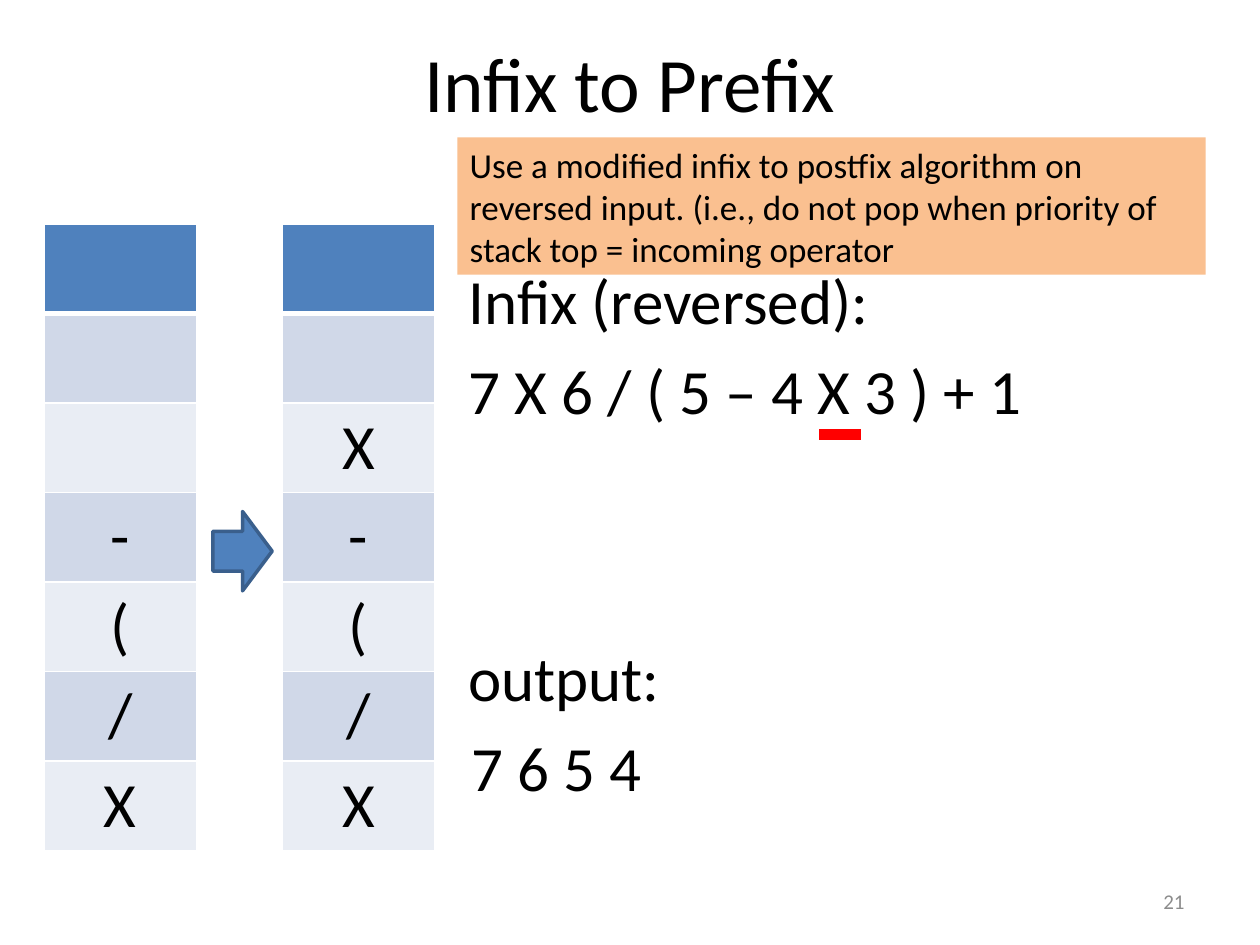
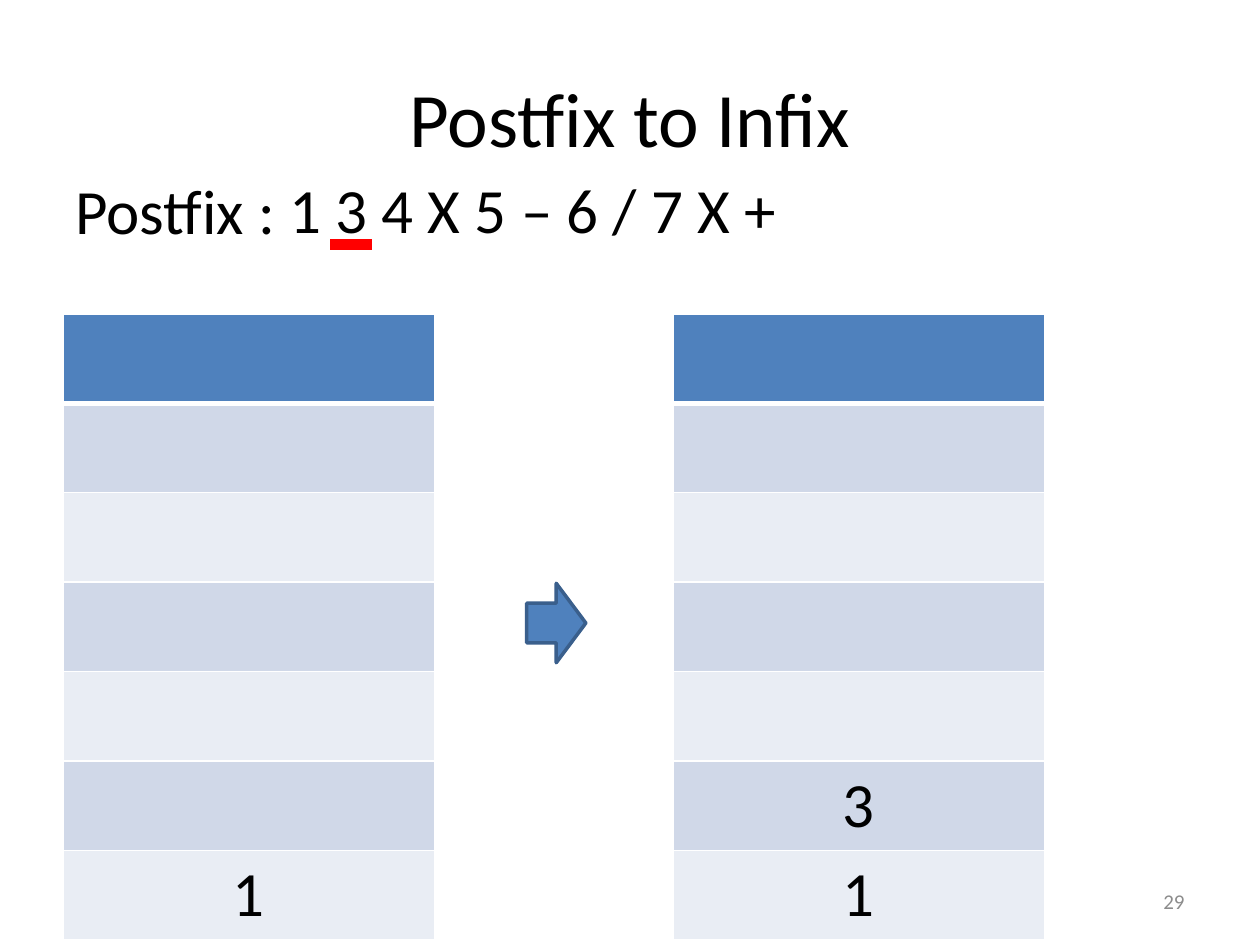
from lxml.etree import SubElement
from pptx import Presentation
from pptx.dml.color import RGBColor
from pptx.enum.shapes import MSO_CONNECTOR, MSO_SHAPE
from pptx.enum.text import MSO_ANCHOR, PP_ALIGN
from pptx.oxml.ns import qn
from pptx.util import Inches, Pt

FONT = "Calibri"
BLACK = RGBColor(0x00, 0x00, 0x00)
GRAY = RGBColor(0x8C, 0x8C, 0x8C)
RED = RGBColor(0xFF, 0x00, 0x00)
BLUE = RGBColor(0x4F, 0x81, 0xBD)
DARK_BLUE = RGBColor(0x3A, 0x5F, 0x8C)
BAND_DARK = RGBColor(0xD0, 0xD8, 0xE8)
BAND_LIGHT = RGBColor(0xE9, 0xED, 0xF4)
ORANGE = RGBColor(0xFA, 0xC0, 0x90)
WHITE = "FFFFFF"

STACK_ROWS = 7
ROW_HEIGHT = 0.71


def write(text_frame, text, size=36, align=PP_ALIGN.LEFT, color=BLACK,
          anchor=MSO_ANCHOR.TOP):
    text_frame.word_wrap = True
    text_frame.vertical_anchor = anchor
    text_frame.text = text
    paragraph = text_frame.paragraphs[0]
    paragraph.alignment = align
    font = paragraph.runs[0].font
    font.name = FONT
    font.size = Pt(size)
    font.color.rgb = color


def add_stack(slide, left, top, width, items):
    """Draw a stack as a one-column table, with the items resting at the bottom."""
    table = slide.shapes.add_table(
        STACK_ROWS, 1, Inches(left), Inches(top),
        Inches(width), Inches(ROW_HEIGHT * STACK_ROWS)).table
    first_item = STACK_ROWS - len(items)
    for row in range(STACK_ROWS):
        table.rows[row].height = Inches(ROW_HEIGHT)
        cell = table.cell(row, 0)
        if row >= first_item:
            write(cell.text_frame, items[row - first_item], align=PP_ALIGN.CENTER)

        # White borders, thicker under the header, placed before the fill
        properties = cell._tc.get_or_add_tcPr()
        thick_side = {0: "lnB", 1: "lnT"}.get(row)
        for side in ("lnL", "lnR", "lnT", "lnB"):
            points = 3 if side == thick_side else 1
            border = SubElement(properties, qn(f"a:{side}"), w=str(Pt(points)))
            border_fill = SubElement(border, qn("a:solidFill"))
            SubElement(border_fill, qn("a:srgbClr"), val=WHITE)
        cell.fill.solid()
        if row == 0:
            cell.fill.fore_color.rgb = BLUE
        else:
            cell.fill.fore_color.rgb = BAND_DARK if row % 2 else BAND_LIGHT


SLIDES = [
    {
        "title": "Infix to Prefix", "title_top": 0.02, "number": "21",
        "texts": [  # left, top, width, text
            (3.62, 2.74, 6.29, "7 X 6 / ( 5 – 4 X 3 ) + 1"),
            (3.62, 2.03, 3.67, "Infix (reversed):"),
            (3.62, 5.02, 3.67, "output:"),
            (3.64, 5.73, 5.3, "7 6 5 4"),
        ],
        "marker": (6.5, 3.45), "arrow": (1.69, 4.06),
        "stack_top": 1.78, "stack_width": 1.21,
        "stacks": [(0.35, "-(/X"), (2.24, "X-(/X")],
        "note": "Use a modified infix to postfix algorithm on reversed input. "
                "(i.e., do not pop when priority of stack top = incoming operator",
    },
    {
        "title": "Postfix to Infix", "title_top": 0.3, "number": "29",
        "texts": [
            (2.2, 1.3, 6.29, "1 3 4 X 5 – 6 / 7 X +"),
            (0.5, 1.31, 3.67, "Postfix :"),
        ],
        "marker": (2.62, 1.94), "arrow": (4.18, 4.63),
        "stack_top": 2.49, "stack_width": 2.95,
        "stacks": [(0.5, "1"), (5.34, "31")],
        "note": None,
    },
]

presentation = Presentation()
presentation.slide_width = Inches(10)
presentation.slide_height = Inches(7.5)

for content in SLIDES:
    slide = presentation.slides.add_slide(presentation.slide_layouts[6])
    shapes = slide.shapes

    # Title
    title = shapes.add_textbox(
        Inches(0.5), Inches(content["title_top"]), Inches(9), Inches(1.25))
    write(title.text_frame, content["title"], 44, PP_ALIGN.CENTER,
          anchor=MSO_ANCHOR.MIDDLE)

    # Expression and output
    for left, top, width, text in content["texts"]:
        box = shapes.add_textbox(
            Inches(left), Inches(top), Inches(width), Inches(0.71))
        write(box.text_frame, text)

    # Stack before and after the step
    for left, items in content["stacks"]:
        add_stack(slide, left, content["stack_top"], content["stack_width"], items)

    # Red marker under the current token
    left, top = content["marker"]
    marker = shapes.add_connector(
        MSO_CONNECTOR.STRAIGHT, Inches(left), Inches(top),
        Inches(left + 0.33), Inches(top))
    marker.line.color.rgb = RED
    marker.line.width = Pt(6)
    SubElement(marker._element.spPr, qn("a:effectLst"))

    # Arrow between the stacks
    left, top = content["arrow"]
    arrow = shapes.add_shape(
        MSO_SHAPE.RIGHT_ARROW, Inches(left), Inches(top), Inches(0.47), Inches(0.63))
    arrow.shadow.inherit = False
    arrow.fill.solid()
    arrow.fill.fore_color.rgb = BLUE
    arrow.line.color.rgb = DARK_BLUE
    arrow.line.width = Pt(2)

    # Slide number
    number = shapes.add_textbox(
        Inches(7.17), Inches(6.95), Inches(2.33), Inches(0.4))
    write(number.text_frame, content["number"], 12, PP_ALIGN.RIGHT, GRAY,
          MSO_ANCHOR.MIDDLE)

    # Note on the algorithm
    if content["note"]:
        note = shapes.add_shape(
            MSO_SHAPE.RECTANGLE, Inches(3.63), Inches(1.09), Inches(5.94), Inches(1.09))
        note.shadow.inherit = False
        note.fill.solid()
        note.fill.fore_color.rgb = ORANGE
        note.line.fill.background()
        write(note.text_frame, content["note"], 20, anchor=MSO_ANCHOR.MIDDLE)

presentation.save("out.pptx")
